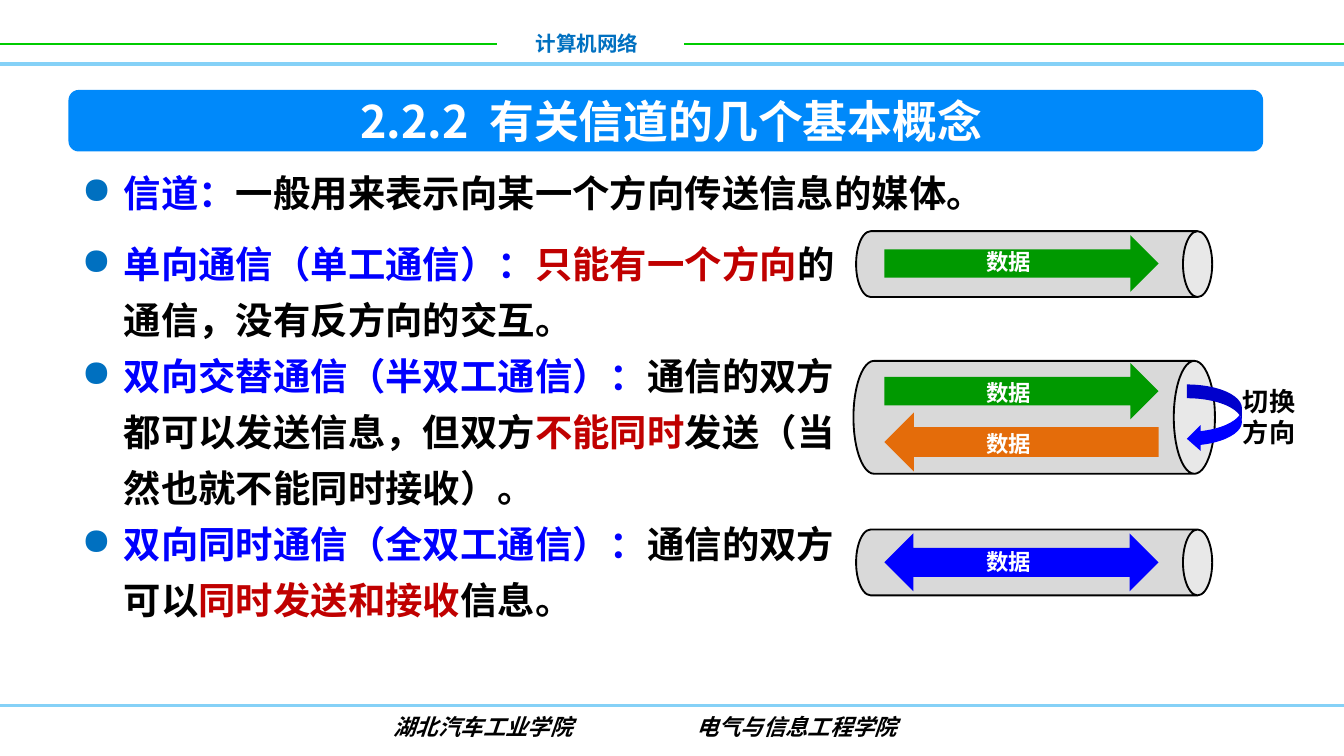
from dataclasses import dataclass

from lxml.etree import SubElement
from pptx import Presentation
from pptx.dml.color import RGBColor
from pptx.enum.shapes import MSO_CONNECTOR, MSO_SHAPE as Preset
from pptx.enum.text import MSO_ANCHOR as Anchor, PP_ALIGN as Align
from pptx.oxml.ns import qn
from pptx.util import Pt

BLACK = RGBColor(0, 0, 0)
WHITE = RGBColor(255, 255, 255)
BLUE = RGBColor(0, 0, 255)
RED = RGBColor(0xC0, 0, 0)
GREEN = RGBColor(0, 0x99, 0)
ORANGE = RGBColor(0xE4, 0x6C, 0x0A)
GRAY = RGBColor(0xD9, 0xD9, 0xD9)
BANNER = RGBColor(0, 0x89, 0xFA)
COURSE = RGBColor(0, 0x70, 0xC0)
RULE_GREEN = RGBColor(0, 0xCC, 0)
RULE_BLUE = RGBColor(0x85, 0xD1, 0xF7)
SANS = "Noto Sans CJK SC"
CHANNEL_X = 554
ARROW_LEFT, ARROW_WIDTH = 473.8, 146.9


@dataclass
class Box:
    left: float
    top: float
    width: float
    height: float

    def lengths(self):
        return [Pt(v) for v in (self.left, self.top, self.width, self.height)]


@dataclass
class Rule:
    start: float
    end: float
    y: float
    color: RGBColor
    weight: float


@dataclass
class Pipe:
    center_y: float
    length: float
    diameter: float
    curve: float


@dataclass
class DataArrow:
    preset: Preset
    top: float
    height: float
    color: RGBColor
    label_top: float


@dataclass
class Span:
    text: str
    color: RGBColor = BLACK


RULES = [
    Rule(0, 266.4, 23.8, RULE_GREEN, 1),
    Rule(0, 720, 34.4, RULE_BLUE, 2),
    Rule(366.5, 720, 23.8, RULE_GREEN, 1),
    Rule(0, 720, 378, RULE_BLUE, 1.5),
]
PIPES = [
    Pipe(141.5, 190.8, 35.3, 0.444),
    Pipe(301.3, 190.8, 35.3, 0.444),
    Pipe(223.6, 193.7, 60.5, 0.365),
]
ARROWS = [
    DataArrow(Preset.RIGHT_ARROW, 126, 30.3, GREEN, 129.6),
    DataArrow(Preset.LEFT_RIGHT_ARROW, 285.8, 31, BLUE, 290.2),
    DataArrow(Preset.RIGHT_ARROW, 194.4, 30.3, GREEN, 199.4),
    DataArrow(Preset.LEFT_ARROW, 221, 31.7, ORANGE, 226.8),
]
CHANNEL = [[
    Span("信道：", BLUE),
    Span("一般用来表示向某一个方向传送信息的媒体。"),
]]
MODES = [
    [
        Span("单向通信（单工通信）：", BLUE),
        Span("只能有一个方向", RED),
        Span("的通信，没有反方向的交互。"),
    ],
    [
        Span("双向交替通信（半双工通信）：", BLUE),
        Span("通信的双方都可以发送信息，但双方"),
        Span("不能同时", RED),
        Span("发送（当然也就不能同时接收）。"),
    ],
    [
        Span("双向同时通信（全双工通信）：", BLUE),
        Span("通信的双方可以"),
        Span("同时发送和接收", RED),
        Span("信息。"),
    ],
]


def set_font(paragraph, size: float, color: RGBColor, name: str = SANS) -> None:
    font = paragraph.font
    font.size, font.bold, font.name = Pt(size), True, name
    font.color.rgb = color
    east_asian = SubElement(paragraph._p.pPr.find(qn("a:defRPr")), qn("a:ea"))
    east_asian.set("typeface", SANS)


def add_text(page, box: Box, lines: list[str], size: float, color: RGBColor,
             align=Align.LEFT, wrap: bool = False, anchor=Anchor.TOP) -> None:
    frame = page.shapes.add_textbox(*box.lengths()).text_frame
    frame.word_wrap, frame.vertical_anchor = wrap, anchor
    frame.text = "\n".join(lines)
    for paragraph in frame.paragraphs:
        paragraph.alignment = align
        set_font(paragraph, size, color)


def add_bullets(page, box: Box, items: list[list[Span]]) -> None:
    frame = page.shapes.add_textbox(*box.lengths()).text_frame
    frame.word_wrap = True
    for index, spans in enumerate(items):
        paragraph = frame.paragraphs[0] if index == 0 else frame.add_paragraph()
        paragraph.line_spacing = Pt(30)
        properties = paragraph._p.get_or_add_pPr()
        properties.set("marL", str(Pt(22.5)))
        properties.set("indent", str(-Pt(22.5)))
        bullet_color = SubElement(properties, qn("a:buClr"))
        SubElement(bullet_color, qn("a:srgbClr")).set("val", str(COURSE))
        SubElement(properties, qn("a:buChar")).set("char", "●")
        set_font(paragraph, 20, BLACK)
        for span in spans:
            run = paragraph.add_run()
            run.text = span.text
            run.font.color.rgb = span.color


def add_footer(page, schools: list[str]) -> None:
    """Place the school names in one line, parted by a tab stop."""
    frame = page.shapes.add_textbox(*Box(73.4, 378.7, 544.3, 21.6).lengths()).text_frame
    frame.word_wrap = True
    frame.margin_left = Pt(137.5)
    paragraph = frame.paragraphs[0]
    tabs = SubElement(paragraph._p.get_or_add_pPr(), qn("a:tabLst"))
    stop = SubElement(tabs, qn("a:tab"))
    stop.set("pos", str(Pt(162)))
    stop.set("algn", "l")
    paragraph.add_run().text = "\t".join(schools)
    set_font(paragraph, 12, BLACK, "Arial")
    paragraph.font.italic = True


def add_rule(page, rule: Rule) -> None:
    line = page.shapes.add_connector(
        MSO_CONNECTOR.STRAIGHT, Pt(rule.start), Pt(rule.y), Pt(rule.end), Pt(rule.y))
    line.line.color.rgb, line.line.width = rule.color, Pt(rule.weight)
    SubElement(line._element.spPr, qn("a:effectLst"))


def add_solid(page, preset: Preset, box: Box, color: RGBColor, adjustments=()):
    shape = page.shapes.add_shape(preset, *box.lengths())
    shape.shadow.inherit = False
    shape.fill.solid()
    shape.fill.fore_color.rgb = color
    shape.line.fill.background()
    for index, value in enumerate(adjustments):
        shape.adjustments[index] = value
    return shape


def add_pipe(page, pipe: Pipe) -> None:
    """Lay a can on its side, centred on the channel column."""
    box = Box(CHANNEL_X - pipe.diameter / 2, pipe.center_y - pipe.length / 2,
              pipe.diameter, pipe.length)
    can = add_solid(page, Preset.CAN, box, GRAY, [pipe.curve])
    can.rotation = 90
    can.line.color.rgb, can.line.width = BLACK, Pt(1)


def add_data_arrow(page, arrow: DataArrow) -> None:
    box = Box(ARROW_LEFT, arrow.top, ARROW_WIDTH, arrow.height)
    add_solid(page, arrow.preset, box, arrow.color)
    add_text(page, Box(521.3, arrow.label_top, 38.9, 21.6), ["数据"], 12, WHITE)


def main() -> None:
    deck = Presentation()
    deck.slide_width, deck.slide_height = Pt(720), Pt(405)
    page = deck.slides.add_slide(deck.slide_layouts[6])
    for rule in RULES:
        add_rule(page, rule)
    add_text(page, Box(279.4, 13, 69.8, 20.9), ["计算机网络"], 11, COURSE, Align.RIGHT)
    add_footer(page, ["湖北汽车工业学院", "电气与信息工程学院"])
    add_solid(page, Preset.ROUNDED_RECTANGLE, Box(36.7, 48.2, 640, 33), BANNER, [0.167])
    add_text(page, Box(98.6, 50.4, 522, 28.8), ["2.2.2  有关信道的几个基本概念"],
             24, WHITE, Align.CENTER, True, Anchor.MIDDLE)
    add_bullets(page, Box(36.7, 81.4, 638, 250), CHANNEL)
    add_bullets(page, Box(36.7, 119.5, 429, 250), MODES)
    for pipe in PIPES:
        add_pipe(page, pipe)
    add_solid(page, Preset.CURVED_LEFT_ARROW, Box(635.8, 206, 29.5, 36), BLUE,
              [0.25, 0.467, 0.25])
    add_text(page, Box(658.8, 203, 42.5, 41), ["切换", "方向"], 14, BLACK)
    for arrow in ARROWS:
        add_data_arrow(page, arrow)
    deck.save("out.pptx")


if __name__ == "__main__":
    main()
